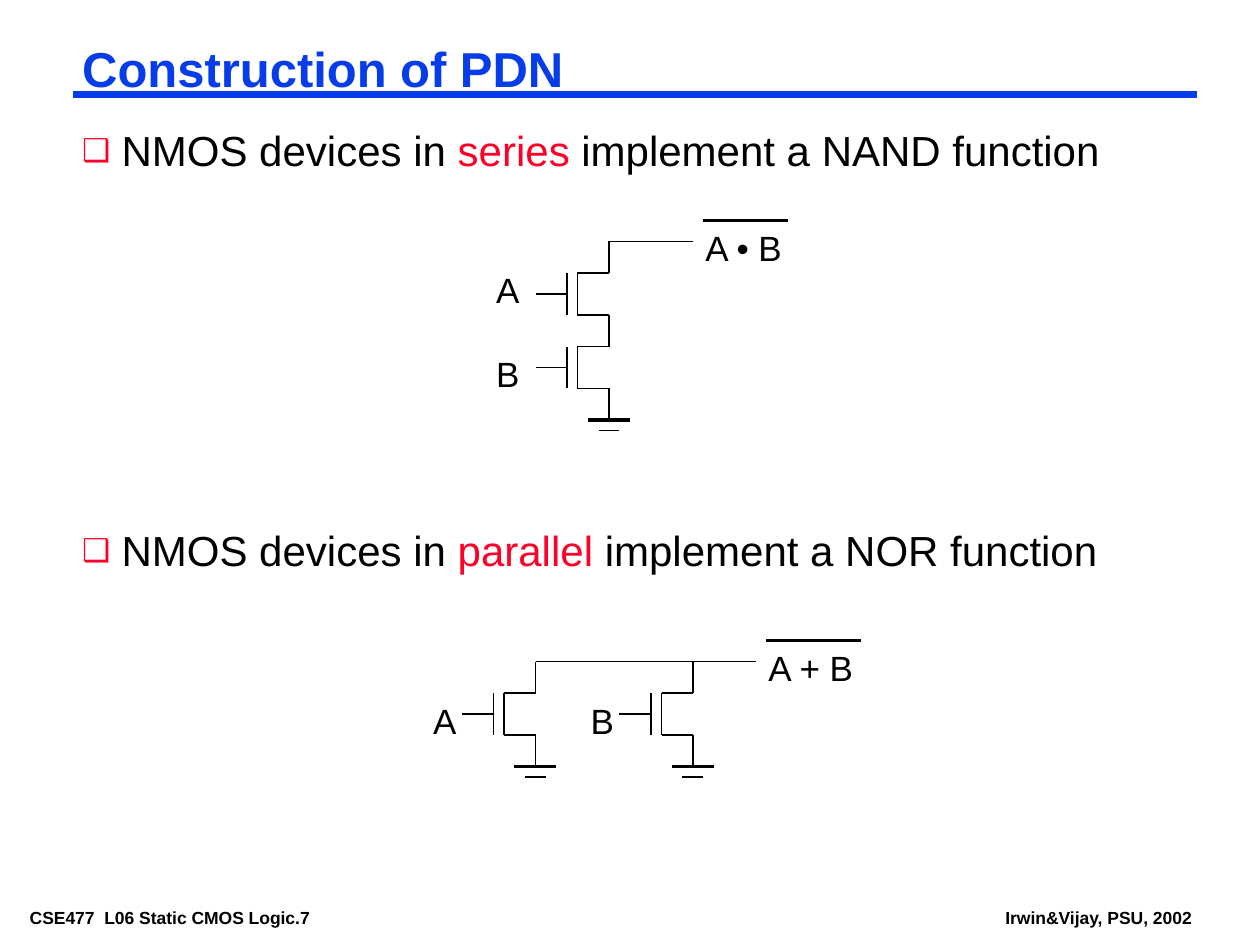
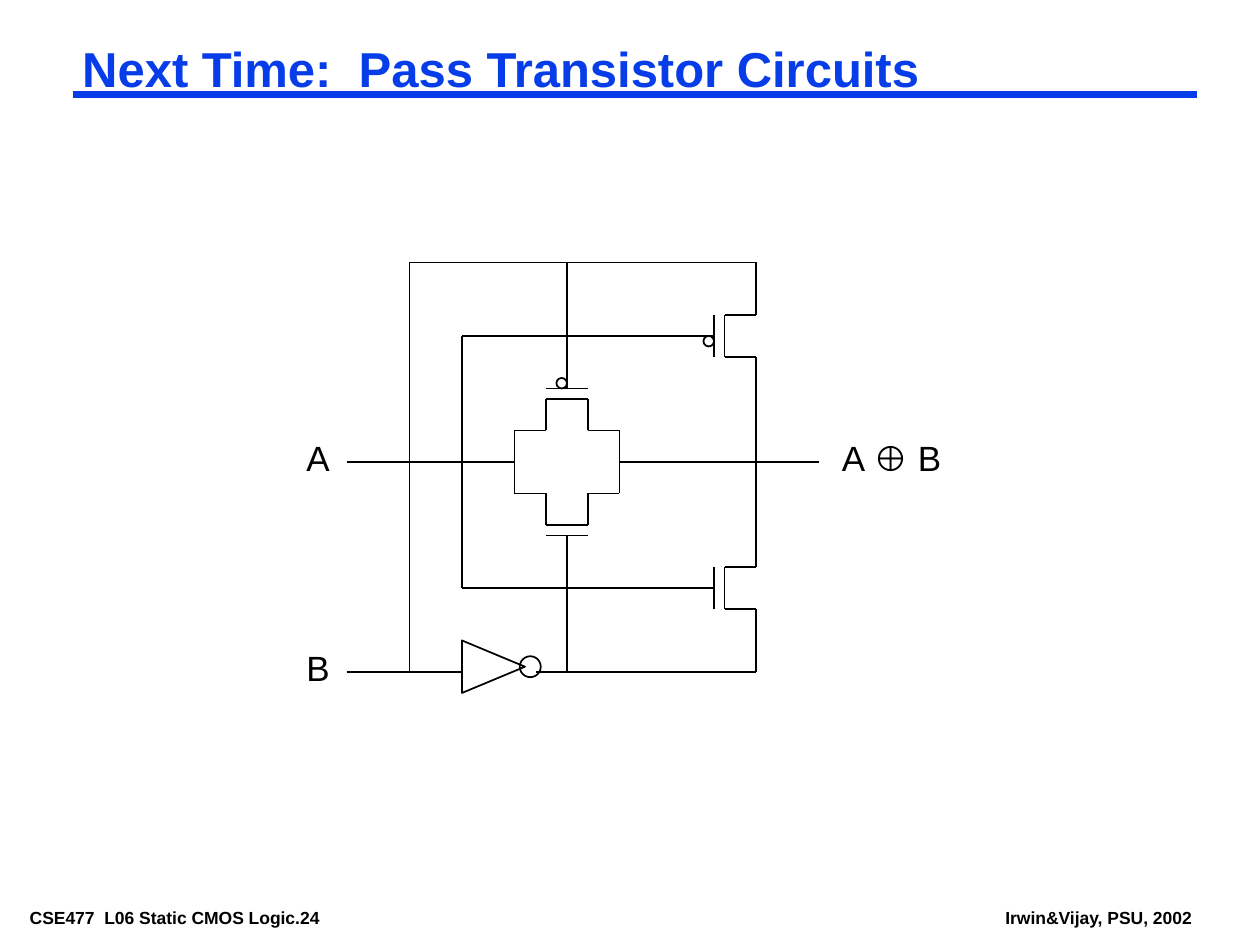
from dataclasses import dataclass
from itertools import pairwise

from lxml import etree
from pptx import Presentation
from pptx.dml.color import RGBColor
from pptx.enum import shapes, text
from pptx.oxml import ns
from pptx.util import Pt


@dataclass(frozen=True)
class Theme:
    font: str = "Arial"
    ink: RGBColor = RGBColor.from_string("000000")
    blue: RGBColor = RGBColor.from_string("063DE8")
    red: RGBColor = RGBColor.from_string("FC0128")
    title: float = 28
    body: float = 24
    label: float = 20
    foot: float = 10
    thin: float = 1
    thick: float = 2.25
    band: float = 4.5


LOOK = Theme()
SLIM = (5, 2.5)  # text insets: sides, top and bottom
WIDE = (7.2, 3.6)


def style(item, **values):
    for name, value in values.items():
        setattr(item, name, value)


def ink(font, size, color=LOOK.ink, bold=False):
    style(font, name=LOOK.font, size=Pt(size), bold=bold)
    font.color.rgb = color


def place(shape, x, y, w, h):
    style(shape, left=Pt(x), top=Pt(y), width=Pt(w), height=Pt(h))


def set_up(frame, pad):
    side, edge = map(Pt, pad)
    style(frame, word_wrap=True, auto_size=text.MSO_AUTO_SIZE.NONE,
          vertical_anchor=text.MSO_ANCHOR.TOP, margin_left=side,
          margin_right=side, margin_top=edge, margin_bottom=edge)


def add_text(slide, words, x, y, w, h=32, pad=WIDE, size=LOOK.label, bold=False):
    box = slide.shapes.add_textbox(Pt(x), Pt(y), Pt(w), Pt(h))
    set_up(box.text_frame, pad)
    run = box.text_frame.paragraphs[0].add_run()
    run.text = words
    ink(run.font, size, bold=bold)


def wire(slide, *points, width=LOOK.thin, color=LOOK.ink):
    """Join the points in turn with straight connectors."""
    for start, end in pairwise(points):
        line = slide.shapes.add_connector(
            shapes.MSO_CONNECTOR.STRAIGHT, *map(Pt, (*start, *end)))
        line.line.width = Pt(width)
        line.line.color.rgb = color
        etree.SubElement(line._element.spPr, ns.qn("a:effectLst"))


def outline(slide, kind, x, y, w, h, turn=0):
    shape = slide.shapes.add_shape(kind, Pt(x), Pt(y), Pt(w), Pt(h))
    shape.rotation = turn
    shape.shadow.inherit = False
    shape.fill.background()
    shape.line.color.rgb = LOOK.ink
    shape.line.width = Pt(LOOK.thin)


def bubble(slide, x, y, size=6):
    outline(slide, shapes.MSO_SHAPE.OVAL, x, y, size, size)


def add_fet(slide, x, y, turn=(1, 0), stub=18):
    """Draw a transistor from its drain corner; turn is (cos, sin)."""
    cos, sin = turn

    def draw(*points):
        wire(slide, *[(x + a * cos - b * sin, y + a * sin + b * cos)
                      for a, b in points])

    if stub:
        draw((0, -stub), (0, 0))
    draw((0, 0), (-18, 0), (-18, 24), (0, 24), (0, 42))
    draw((-24, 0), (-24, 24))
    draw((-42, 12), (-24, 12))


def ground(slide, x, y):
    wire(slide, (x - 12, y), (x + 12, y), width=LOOK.thick)
    wire(slide, (x - 6, y + 6), (x + 6, y + 6))


def add_bullet(para):
    props = para._p.get_or_add_pPr()
    props.set("marL", str(Pt(22.5)))
    props.set("indent", str(Pt(-22.5)))
    color = etree.SubElement(props, ns.qn("a:buClr"))
    etree.SubElement(color, ns.qn("a:srgbClr"), val=str(LOOK.red))
    etree.SubElement(props, ns.qn("a:buSzPct"), val="75000")
    etree.SubElement(props, ns.qn("a:buChar"), char="❑")


def fill_list(body, items, gap):
    """Fill the list; in each item the middle one of three parts is red."""
    place(body, 42, 72, 630, 257)
    frame = body.text_frame
    set_up(frame, SLIM)
    for i, parts in enumerate(items):
        para = frame.add_paragraph() if i else frame.paragraphs[0]
        add_bullet(para)
        style(para, line_spacing=0.9, space_before=Pt(gap if i else 0))
        for words, color in zip(parts, (LOOK.ink, LOOK.red, LOOK.ink)):
            run = para.add_run()
            run.text = words
            ink(run.font, LOOK.body, color)


def add_slide(deck, layout, title, number):
    slide = deck.slides.add_slide(deck.slide_layouts[layout])
    head = slide.shapes.title
    place(head, 42, 24, 642, 33)
    set_up(head.text_frame, SLIM)
    para = head.text_frame.paragraphs[0]
    style(para, alignment=text.PP_ALIGN.LEFT, line_spacing=0.87)
    run = para.add_run()
    run.text = title
    ink(run.font, LOOK.title, LOOK.blue, True)
    wire(slide, (42, 54), (684, 54), width=LOOK.band, color=LOOK.blue)
    for words, x, w in ((f"CSE477  L06 Static CMOS Logic.{number}", 12, 212),
                        ("Irwin&Vijay, PSU, 2002", 569.5, 118)):
        add_text(slide, words, x, 516, w, 16, SLIM, LOOK.foot, True)
    return slide


def draw_series(slide):
    wire(slide, (348, 138), (396, 138))
    add_fet(slide, 348, 156)
    add_fet(slide, 348, 198, stub=0)
    ground(slide, 348, 240)
    for name, y in (("A", 150), ("B", 198)):
        add_text(slide, name, 276.5, y, 28)
    add_text(slide, "A • B", 396, 126, 60)
    wire(slide, (402, 126), (450, 126), width=LOOK.thick)


def draw_parallel(slide):
    wire(slide, (306, 378), (432, 378))
    for name, x in (("A", 306), ("B", 396)):
        add_fet(slide, x, 396)
        ground(slide, x, 438)
        add_text(slide, name, x - 65.5, 396, 28)
    add_text(slide, "A + B", 432, 366, 65)
    wire(slide, (438, 366), (492, 366), width=LOOK.thick)


def draw_xor(slide):
    # Transmission gate
    add_fet(slide, 336, 246, turn=(0, 1))
    bubble(slide, 318, 216)
    add_fet(slide, 312, 282, turn=(0, -1))
    for x in (294, 354):
        wire(slide, (x, 246), (x, 282))
    wire(slide, (198, 264), (294, 264))
    wire(slide, (354, 264), (468, 264))
    # Output pair, gated by A
    add_fet(slide, 432, 180)
    bubble(slide, 402, 192)
    add_fet(slide, 432, 324)
    wire(slide, (390, 192), (264, 192), (264, 336), (390, 336))
    wire(slide, (432, 222), (432, 306))
    # B and its inverse
    wire(slide, (198, 384), (264, 384))
    outline(slide, shapes.MSO_SHAPE.ISOSCELES_TRIANGLE, 267, 363, 30, 36, 90)
    bubble(slide, 297, 375, 12)
    wire(slide, (306, 384), (432, 384), (432, 366))
    wire(slide, (324, 324), (324, 384))
    wire(slide, (234, 384), (234, 150), (432, 150), (432, 162))
    wire(slide, (324, 150), (324, 204))
    for name, x, y, w in (("A", 168, 246, 28), ("B", 168, 366, 28),
                          ("A ⊕ B", 474, 246, 78)):
        add_text(slide, name, x, y, w)


def main():
    deck = Presentation()
    style(deck, slide_width=Pt(720), slide_height=Pt(540))

    pdn = add_slide(deck, 1, "Construction of PDN", 7)
    fill_list(pdn.placeholders[1], (
        ("NMOS devices in ", "series", " implement a NAND function"),
        ("NMOS devices in ", "parallel", " implement a NOR function"),
    ), gap=202.5)
    draw_series(pdn)
    draw_parallel(pdn)

    draw_xor(add_slide(deck, 5, "Next Time:  Pass Transistor Circuits", 24))
    deck.save("out.pptx")


if __name__ == "__main__":
    main()
